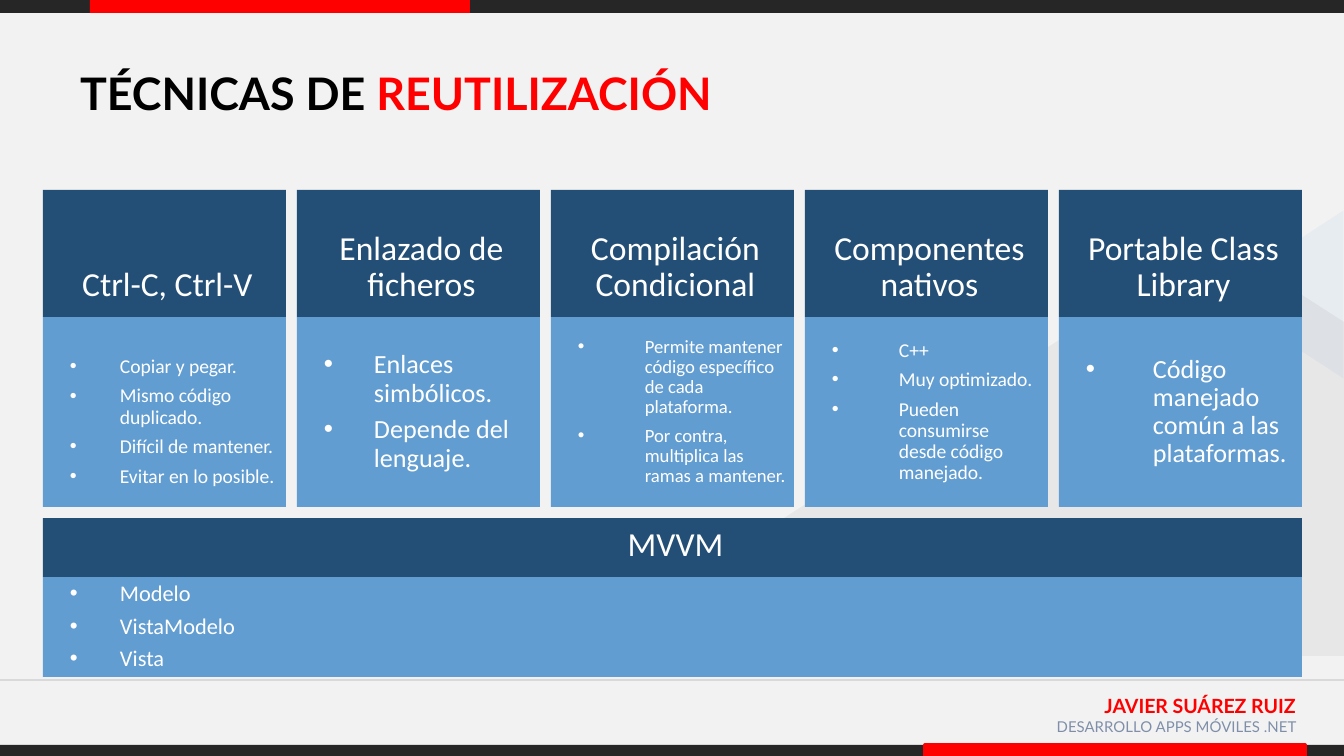
from lxml import etree
from pptx import Presentation
from pptx.dml.color import RGBColor
from pptx.enum.shapes import MSO_CONNECTOR, MSO_SHAPE
from pptx.enum.text import MSO_ANCHOR, MSO_AUTO_SIZE, PP_ALIGN
from pptx.oxml.ns import qn
from pptx.util import Emu, Pt

RECTANGLE = MSO_SHAPE.RECTANGLE
TRIANGLE = MSO_SHAPE.ISOSCELES_TRIANGLE
STRAIGHT = MSO_CONNECTOR.STRAIGHT
TOP, MIDDLE, BOTTOM = MSO_ANCHOR.TOP, MSO_ANCHOR.MIDDLE, MSO_ANCHOR.BOTTOM
LEFT, CENTER, RIGHT = PP_ALIGN.LEFT, PP_ALIGN.CENTER, PP_ALIGN.RIGHT
NO_AUTOFIT = MSO_AUTO_SIZE.NONE

SCALE = 914400 / 134.4
WIDTH, HEIGHT = 1344, 756
DARK, RED, NAVY, BLUE, WHITE = "262626", "FF0000", "234F77", "629DD1", "FFFFFF"
BODY_FONT, TITLE_FONT = "Calibri", "Lato"

CARD_LEFT, CARD_WIDTH, CARD_PITCH = 43, 243, 254
CARDS = [
    ("Ctrl-C, Ctrl-V", 10.5, 50, 27,
     ["Copiar y pegar.", "Mismo código duplicado.", "Difícil de mantener.",
      "Evitar en lo posible."]),
    ("Enlazado de ficheros", 14, 50, 7,
     ["Enlaces simbólicos.", "Depende del lenguaje."]),
    ("Compilación Condicional", 10, 67, 7,
     ["Permite mantener código específico de cada plataforma.",
      "Por contra, multiplica las ramas a mantener."]),
    ("Componentes nativos", 10.5, 67, 7,
     ["C++", "Muy optimizado.", "Pueden consumirse desde código manejado."]),
    ("Portable Class Library", 14, 67, 7,
     ["Código manejado común a las plataformas."]),
]


def px(value):
    return Emu(round(value * SCALE))


def color(value):
    return RGBColor.from_string(value)


class SlideBuilder:
    def __init__(self, presentation):
        self.slide = presentation.slides.add_slide(presentation.slide_layouts[5])
        self.shapes = self.slide.shapes

    def background(self, fill):
        self.slide.background.fill.solid()
        self.slide.background.fill.fore_color.rgb = color(fill)

    def paint(self, shape, fill, opacity=100):
        shape.shadow.inherit = False
        shape.fill.solid()
        shape.fill.fore_color.rgb = color(fill)
        shape.line.fill.background()
        if opacity < 100:
            solid = shape.fill._xPr.find(qn("a:solidFill"))
            alpha = etree.SubElement(solid[0], qn("a:alpha"))
            alpha.set("val", str(opacity * 1000))
        return shape

    def box(self, left, top, width, height, fill, kind=RECTANGLE, opacity=100):
        shape = self.shapes.add_shape(kind, px(left), px(top), px(width), px(height))
        return self.paint(shape, fill, opacity)

    def polygon(self, points, fill, opacity):
        builder = self.shapes.build_freeform(*points[0], scale=SCALE)
        builder.add_line_segments(points[1:], close=True)
        return self.paint(builder.convert_to_shape(), fill, opacity)

    def line(self, start, end, stroke, width):
        connector = self.shapes.add_connector(STRAIGHT, *map(px, start + end))
        connector.line.color.rgb = color(stroke)
        connector.line.width = Pt(width)
        etree.SubElement(connector._element.spPr, qn("a:effectLst"))

    def frame(self, shape, anchor, insets):
        frame = shape.text_frame
        frame.word_wrap = True
        frame.auto_size = NO_AUTOFIT
        frame.vertical_anchor = anchor
        frame.margin_left, frame.margin_top, frame.margin_right, frame.margin_bottom = map(px, insets)
        return frame

    def run(self, paragraph, text, size, fill, font, bold=False):
        run = paragraph.add_run()
        run.text = text
        run.font.size = Pt(size)
        run.font.name = font
        run.font.bold = bold
        run.font.color.rgb = color(fill)

    def title(self, bounds, parts):
        shape = self.shapes.title
        shape.left, shape.top, shape.width, shape.height = map(px, bounds)
        paragraph = self.frame(shape, TOP, (13, 7, 13, 7)).paragraphs[0]
        paragraph.alignment = LEFT
        for text, fill in parts:
            self.run(paragraph, text, 24, fill, TITLE_FONT, True)

    def label(self, bounds, text, size, fill, bold=False):
        shape = self.shapes.add_textbox(*map(px, bounds))
        paragraph = self.frame(shape, TOP, (13, 7, 13, 7)).paragraphs[0]
        paragraph.alignment = RIGHT
        self.run(paragraph, text, size, fill, TITLE_FONT, bold)

    def heading(self, left, top, width, height, text):
        shape = self.box(left, top, width, height, NAVY)
        paragraph = self.frame(shape, BOTTOM, (13, 7, 7, 13)).paragraphs[0]
        paragraph.alignment = CENTER
        paragraph.line_spacing = 0.9
        self.run(paragraph, text, 18, WHITE, BODY_FONT)

    def bullets(self, left, top, width, height, items, size, indent, inset_top=7):
        shape = self.box(left, top, width, height, BLUE)
        frame = self.frame(shape, MIDDLE, (27, inset_top, 7, 7))
        for index, item in enumerate(items):
            paragraph = frame.add_paragraph() if index else frame.paragraphs[0]
            properties = paragraph._p.get_or_add_pPr()
            properties.set("marL", str(px(indent)))
            properties.set("indent", str(-px(indent)))
            etree.SubElement(properties, qn("a:buFont")).set("typeface", "Arial")
            etree.SubElement(properties, qn("a:buChar")).set("char", "•")
            paragraph.alignment = LEFT
            paragraph.line_spacing = 0.9
            paragraph.space_before = Pt(4.5 if index else 0)
            self.run(paragraph, item, size, WHITE, BODY_FONT)


def main():
    presentation = Presentation()
    presentation.slide_width, presentation.slide_height = px(WIDTH), px(HEIGHT)
    builder = SlideBuilder(presentation)

    builder.background("F2F2F2")
    builder.box(0, 0, WIDTH, 13, DARK)
    builder.box(90, 0, 380, 13, RED)
    builder.label((1066, 687, 243, 42), "JAVIER SUÁREZ RUIZ", 10.5, RED, True)
    builder.label((1038, 711, 272, 42), "DESARROLLO APPS MÓVILES .NET", 8, "7F8FA9")
    builder.box(0, 745, WIDTH, 11, DARK)
    accent = builder.box(925, 745, 380, 11, RED)
    accent.line.color.rgb = color(RED)
    accent.line.width = Pt(2)
    builder.line((0, 680), (WIDTH, 680), "D9D9D9", 0.75)
    builder.polygon([(WIDTH, 656), (WIDTH, 322), (1215, 239), (571, 656)], DARK, 5)
    builder.box(1195, 230, 168, 129, "297FD5", TRIANGLE, 5).rotation = 270

    for index, (heading, size, indent, inset_top, items) in enumerate(CARDS):
        left = CARD_LEFT + index * CARD_PITCH
        builder.bullets(left, 317, CARD_WIDTH, 190, items, size, indent, inset_top)
        builder.heading(left, 190, CARD_WIDTH, 127, heading)

    full_width = (len(CARDS) - 1) * CARD_PITCH + CARD_WIDTH
    builder.bullets(CARD_LEFT, 577, full_width, 100, ["Modelo", "VistaModelo", "Vista"], 12, 50)
    builder.heading(CARD_LEFT, 518, full_width, 59, "MVVM")

    builder.title((67, 59, 1210, 56), [("TÉCNICAS DE ", "000000"), ("REUTILIZACIÓN", RED)])
    presentation.save("out.pptx")


if __name__ == "__main__":
    main()
